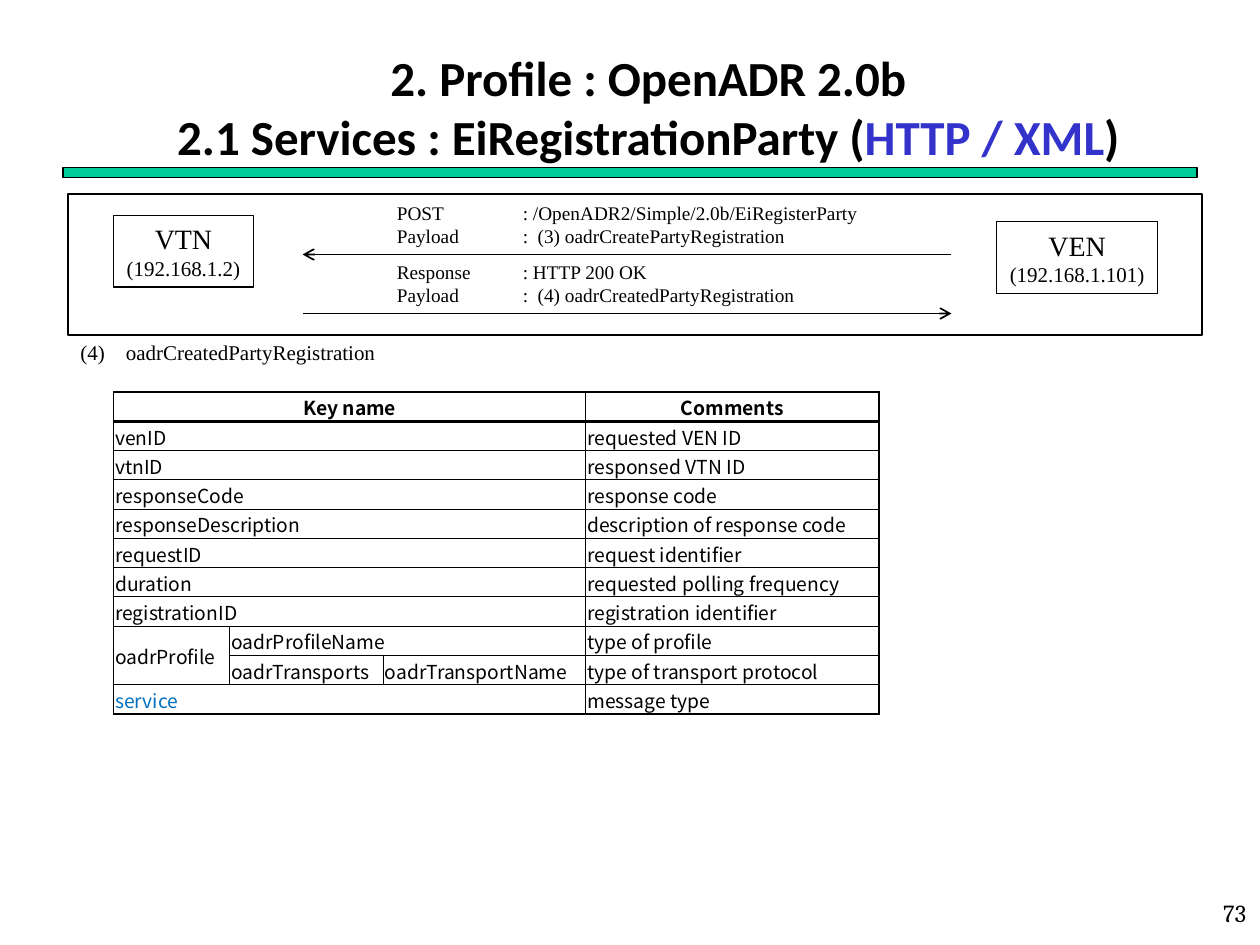
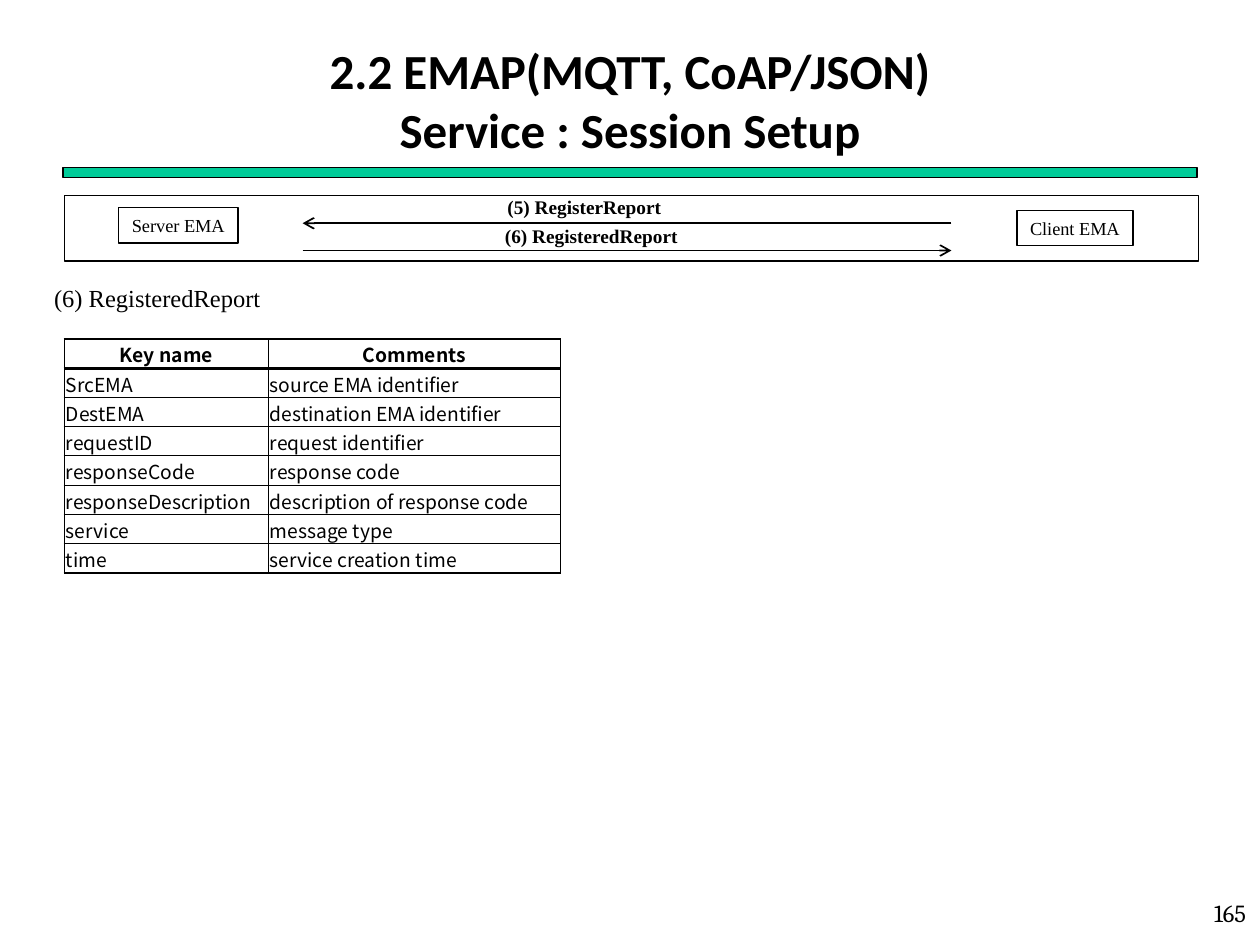
from dataclasses import dataclass
from typing import Any, Optional

import pptx
import pptx.dml.color
import pptx.enum.shapes
import pptx.enum.text
import pptx.oxml
import pptx.oxml.ns
import pptx.util

Cm = pptx.util.Cm
Pt = pptx.util.Pt
ALIGN = pptx.enum.text.PP_ALIGN
ANCHOR = pptx.enum.text.MSO_ANCHOR
RECTANGLE = pptx.enum.shapes.MSO_SHAPE.RECTANGLE
STRAIGHT = pptx.enum.shapes.MSO_CONNECTOR.STRAIGHT

COLORS = {"ink": "000000", "paper": "FFFFFF", "band": "00CC99",
          "protocol": "3333CC", "key": "0070C0"}
SERIF = "Times New Roman"
TITLE_FONT = {"name": "Calibri", "size": Pt(28), "bold": True}
PAGE_FONT = {"name": "Cambria", "size": Pt(14)}
TABLE_FONT = {"name": "Noto Sans CJK KR", "size": Pt(11)}
ROW_HEIGHT = 0.59
ARROW_LEFT, ARROW_RIGHT = 6.1, 19.18
LABEL_TABS = (2.54, 2.84)
CAPTION_TABS = (0.92,)


@dataclass(frozen=True)
class Run:
    text: str
    color: str = "ink"
    size: Optional[float] = None


@dataclass(frozen=True)
class Area:
    """A rectangle in centimetres."""
    left: float
    top: float
    width: float
    height: float

    def lengths(self) -> tuple:
        return tuple(Cm(v) for v in (self.left, self.top, self.width, self.height))


Line = tuple[Run, ...]


@dataclass(frozen=True)
class Block:
    """Lines of text in an area, all in one base font."""
    area: Area
    lines: tuple[Line, ...]
    size: float
    bold: bool = False
    tabs: tuple[float, ...] = ()


@dataclass(frozen=True)
class Exchange:
    """Two parties in a panel, a request to the left and a reply to the right."""
    panel: Area
    parties: tuple[Block, ...]
    request_y: float
    reply_y: float
    labels: tuple[Block, ...]


@dataclass(frozen=True)
class KeyTable:
    """A None cell belongs to the cell above in the first column, else to the one at its left."""
    left: float
    top: float
    columns: tuple[float, ...]
    rows: tuple[tuple[Optional[str], ...], ...]
    colored_key: str = ""


@dataclass(frozen=True)
class Page:
    number: str
    title_area: Area
    title: tuple[Line, ...]
    caption: Block
    exchange: Exchange
    keys: KeyTable


def plain(*texts: str) -> tuple[Line, ...]:
    return tuple((Run(text),) for text in texts)


def party(area: Area, name: str, address: str) -> Block:
    return Block(area, ((Run(name, size=16),), (Run(address),)), 12)


def wide(key: str, comment: str) -> tuple[Optional[str], ...]:
    return key, None, None, comment


def rgb(color: str) -> pptx.dml.color.RGBColor:
    return pptx.dml.color.RGBColor.from_string(COLORS[color])


def apply(target: Any, values: dict[str, Any]) -> None:
    for attribute, value in values.items():
        setattr(target, attribute, value)


def add_tabs(paragraph: Any, stops: tuple[float, ...]) -> None:
    if stops:
        properties = paragraph._p.get_or_add_pPr()
        tabs = properties.makeelement(pptx.oxml.ns.qn("a:tabLst"), {})
        properties.append(tabs)
        for stop in stops:
            tabs.append(tabs.makeelement(pptx.oxml.ns.qn("a:tab"),
                                         {"pos": str(Cm(stop)), "algn": "l"}))


def write(frame: Any, lines: tuple[Line, ...], font: dict[str, Any],
          align: Any = ALIGN.LEFT, tabs: tuple[float, ...] = ()) -> None:
    for index, line in enumerate(lines):
        paragraph = frame.add_paragraph() if index else frame.paragraphs[0]
        add_tabs(paragraph, tabs)
        paragraph.alignment = align
        for part in line:
            run = paragraph.add_run()
            run.text = part.text
            apply(run.font, font)
            if part.size:
                run.font.size = Pt(part.size)
            run.font.color.rgb = rgb(part.color)


def add_text(shapes: Any, area: Area, lines: tuple[Line, ...], font: dict[str, Any],
             align: Any = ALIGN.LEFT, anchor: Any = ANCHOR.TOP,
             tabs: tuple[float, ...] = ()) -> None:
    frame = shapes.add_textbox(*area.lengths()).text_frame
    apply(frame, {"word_wrap": True, "vertical_anchor": anchor})
    write(frame, lines, font, align, tabs)


def serif_font(block: Block) -> dict[str, Any]:
    return {"name": SERIF, "size": Pt(block.size), "bold": block.bold}


def add_block(shapes: Any, block: Block) -> None:
    add_text(shapes, block.area, block.lines, serif_font(block), tabs=block.tabs)


def add_box(shapes: Any, area: Area, fill: str, line_width: float) -> Any:
    box = shapes.add_shape(RECTANGLE, *area.lengths())
    box.shadow.inherit = False
    box.fill.solid()
    box.fill.fore_color.rgb = rgb(fill)
    box.line.color.rgb = rgb("ink")
    box.line.width = Pt(line_width)
    return box


def add_arrow(shapes: Any, start: float, tip: float, y: float) -> None:
    arrow = shapes.add_connector(STRAIGHT, Cm(start), Cm(y), Cm(tip), Cm(y))
    arrow.line.color.rgb = rgb("ink")
    arrow.line.width = Pt(1)
    line = arrow.line._get_or_add_ln()
    line.append(line.makeelement(pptx.oxml.ns.qn("a:tailEnd"), {"type": "arrow"}))
    properties = arrow._element.spPr
    properties.append(properties.makeelement(pptx.oxml.ns.qn("a:effectLst"), {}))


def add_exchange(slide: Any, exchange: Exchange) -> None:
    shapes = slide.shapes.add_group_shape().shapes
    add_box(shapes, exchange.panel, "paper", 1)
    for block in exchange.parties:
        frame = add_box(shapes, block.area, "paper", 0.75).text_frame
        apply(frame, {"word_wrap": False, "vertical_anchor": ANCHOR.MIDDLE})
        write(frame, block.lines, serif_font(block), ALIGN.CENTER)
    add_arrow(shapes, ARROW_RIGHT, ARROW_LEFT, exchange.request_y)
    add_arrow(shapes, ARROW_LEFT, ARROW_RIGHT, exchange.reply_y)
    for label in exchange.labels:
        add_block(shapes, label)


def set_borders(cell: Any, widths: dict[str, float]) -> None:
    properties = cell._tc.get_or_add_tcPr()
    for index, (side, width) in enumerate(widths.items()):
        properties.insert(index, pptx.oxml.parse_xml(
            f'<a:ln{side} {pptx.oxml.ns.nsdecls("a")} w="{Pt(width)}"><a:solidFill>'
            f'<a:srgbClr val="{COLORS["ink"]}"/></a:solidFill></a:ln{side}>'))


def add_key_table(slide: Any, keys: KeyTable) -> None:
    rows, columns = len(keys.rows), len(keys.columns)
    area = Area(keys.left, keys.top, sum(keys.columns), rows * ROW_HEIGHT)
    table = slide.shapes.add_table(rows, columns, *area.lengths()).table
    apply(table, {"first_row": False, "horz_banding": False})
    for column, width in zip(table.columns, keys.columns):
        column.width = Cm(width)
    for row in table.rows:
        row.height = Cm(ROW_HEIGHT)
    for r, texts in enumerate(keys.rows):
        for c, text in enumerate(texts):
            if text is not None:
                add_key_cell(table, keys, r, c, text)


def add_key_cell(table: Any, keys: KeyTable, r: int, c: int, text: str) -> None:
    """Fill one cell, merged over the None cells that belong to it."""
    rows, columns = len(keys.rows), len(keys.columns)
    right, bottom = c, r
    while right + 1 < columns and keys.rows[r][right + 1] is None:
        right += 1
    while c == 0 and bottom + 1 < rows and keys.rows[bottom + 1][c] is None:
        bottom += 1
    cell = table.cell(r, c)
    if (right, bottom) != (c, r):
        cell.merge(table.cell(bottom, right))
    widths = {"L": 1 if c == 0 else 0.5,
              "R": 1 if right == columns - 1 else 0.5,
              "T": {0: 1, 1: 2}.get(r, 0.5),
              "B": 2 if r == 0 else 1 if bottom == rows - 1 else 0.5}
    for y in range(r, bottom + 1):
        for x in range(c, right + 1):
            outer = {"L": x == c, "R": x == right, "T": y == r, "B": y == bottom}
            covered = table.cell(y, x)
            covered.fill.solid()
            covered.fill.fore_color.rgb = rgb("paper")
            set_borders(covered, {side: width for side, width in widths.items()
                                  if outer[side] or (x, y) == (c, r)})
    apply(cell, {"margin_left": Cm(0.03), "margin_right": Cm(0.03),
                 "margin_top": Cm(0.03), "margin_bottom": 0,
                 "vertical_anchor": ANCHOR.MIDDLE})
    color = "key" if text == keys.colored_key else "ink"
    write(cell.text_frame, ((Run(text, color),),), TABLE_FONT | {"bold": r == 0},
          ALIGN.LEFT if r else ALIGN.CENTER)


def add_page(deck: Any, page: Page) -> None:
    slide = deck.slides.add_slide(deck.slide_layouts[6])
    add_box(slide.shapes, Area(1.27, 3.38, 22.86, 0.2), "band", 0.75)
    add_text(slide.shapes, page.title_area, page.title, TITLE_FONT,
             ALIGN.CENTER, ANCHOR.MIDDLE)
    add_text(slide.shapes, Area(20.09, 17.98, 5.28, 1.07), plain(page.number),
             PAGE_FONT, ALIGN.RIGHT)
    add_block(slide.shapes, page.caption)
    add_exchange(slide, page.exchange)
    add_key_table(slide, page.keys)


REGISTRATION = Page(
    "73", Area(0.66, 0.97, 24.82, 2.34),
    ((Run("2. Profile : OpenADR 2.0b"),),
     (Run("2.1 Services : EiRegistrationParty ("), Run("HTTP / XML", "protocol"), Run(")"))),
    Block(Area(1.37, 6.73, 17.55, 0.76), plain("(4)\toadrCreatedPartyRegistration"), 12,
          tabs=CAPTION_TABS),
    Exchange(
        Area(1.37, 3.91, 22.86, 2.84),
        (party(Area(20.09, 4.47, 3.25, 1.45), "VEN", "(192.168.1.101)"),
         party(Area(2.29, 4.34, 2.82, 1.45), "VTN", "(192.168.1.2)")),
        5.13, 6.32,
        (Block(Area(7.75, 3.94, 9.96, 1.19),
               plain("POST\t: /OpenADR2/Simple/2.0b/EiRegisterParty",
                     "Payload\t:\t(3) oadrCreatePartyRegistration"), 11, tabs=LABEL_TABS),
         Block(Area(7.75, 5.13, 9.96, 1.19),
               plain("Response\t: HTTP 200 OK",
                     "Payload\t:\t(4) oadrCreatedPartyRegistration"), 11, tabs=LABEL_TABS))),
    KeyTable(2.29, 7.9, (2.34, 3.1, 4.08, 5.91), (
        wide("Key name", "Comments"),
        wide("venID", "requested VEN ID"),
        wide("vtnID", "responsed VTN ID"),
        wide("responseCode", "response code"),
        wide("responseDescription", "description of response code"),
        wide("requestID", "request identifier"),
        wide("duration", "requested polling frequency"),
        wide("registrationID", "registration identifier"),
        ("oadrProfile", "oadrProfileName", None, "type of profile"),
        (None, "oadrTransports", "oadrTransportName", "type of transport protocol"),
        wide("service", "message type")), "service"))

SESSION_SETUP = Page(
    "165", Area(1.27, 0.84, 22.86, 2.34),
    plain("2.2 EMAP(MQTT, CoAP/JSON)", "Service : Session Setup"),
    Block(Area(0.84, 5.59, 4.9, 0.86), plain("(6) RegisteredReport"), 14),
    Exchange(
        Area(1.3, 3.94, 22.86, 1.32),
        (Block(Area(20.5, 4.24, 2.34, 0.71), plain("Client EMA"), 10.5),
         Block(Area(2.39, 4.19, 2.41, 0.71), plain("Server EMA"), 10.5)),
        4.5, 5.05,
        (Block(Area(9.93, 4.39, 4.3, 0.74), plain("(6) RegisteredReport"), 11, True),
         Block(Area(9.98, 3.81, 3.8, 0.74), plain("(5) RegisterReport"), 11, True))),
    KeyTable(1.3, 6.83, (4.11, 5.89), (
        ("Key name", "Comments"),
        ("SrcEMA", "source EMA identifier"),
        ("DestEMA", "destination EMA identifier"),
        ("requestID", "request identifier"),
        ("responseCode", "response code"),
        ("responseDescription", "description of response code"),
        ("service", "message type"),
        ("time", "service creation time"))))


def main() -> None:
    deck = pptx.Presentation()
    apply(deck, {"slide_width": Cm(25.4), "slide_height": Cm(19.05)})
    for page in (REGISTRATION, SESSION_SETUP):
        add_page(deck, page)
    deck.save("out.pptx")


if __name__ == "__main__":
    main()
